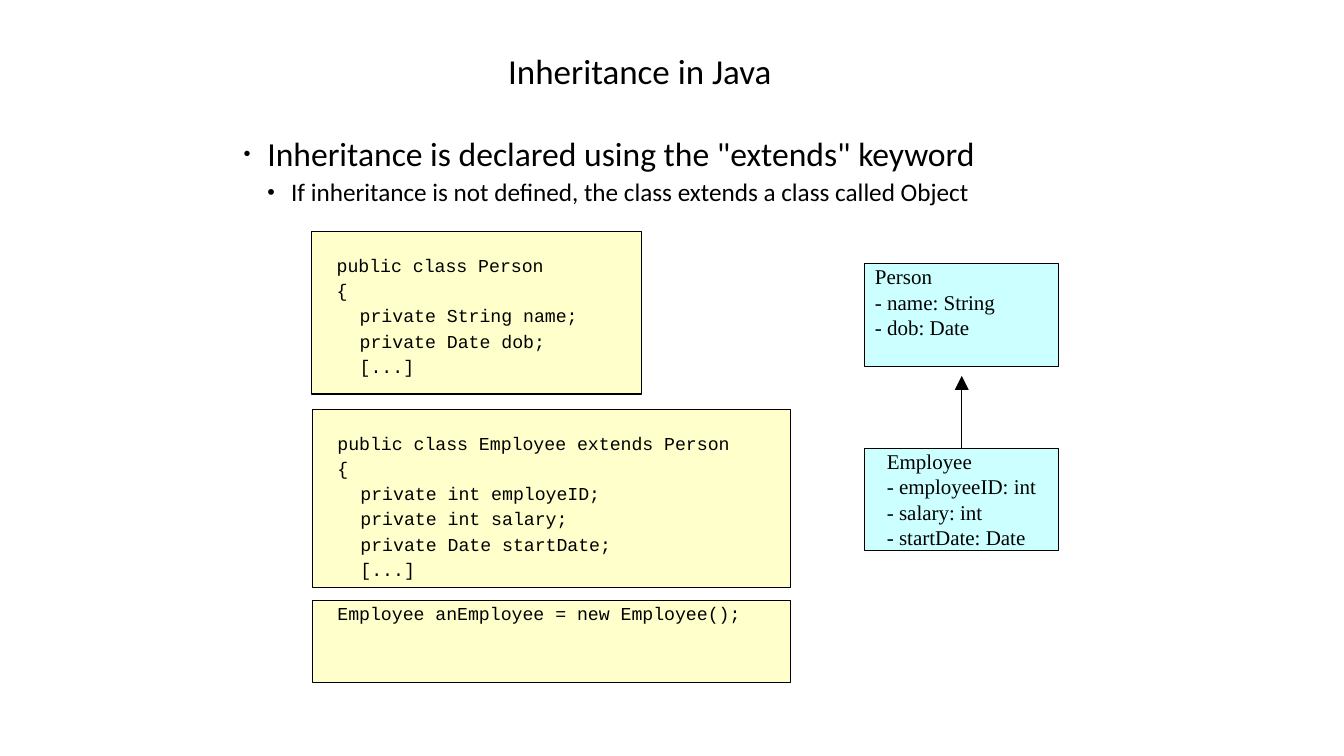
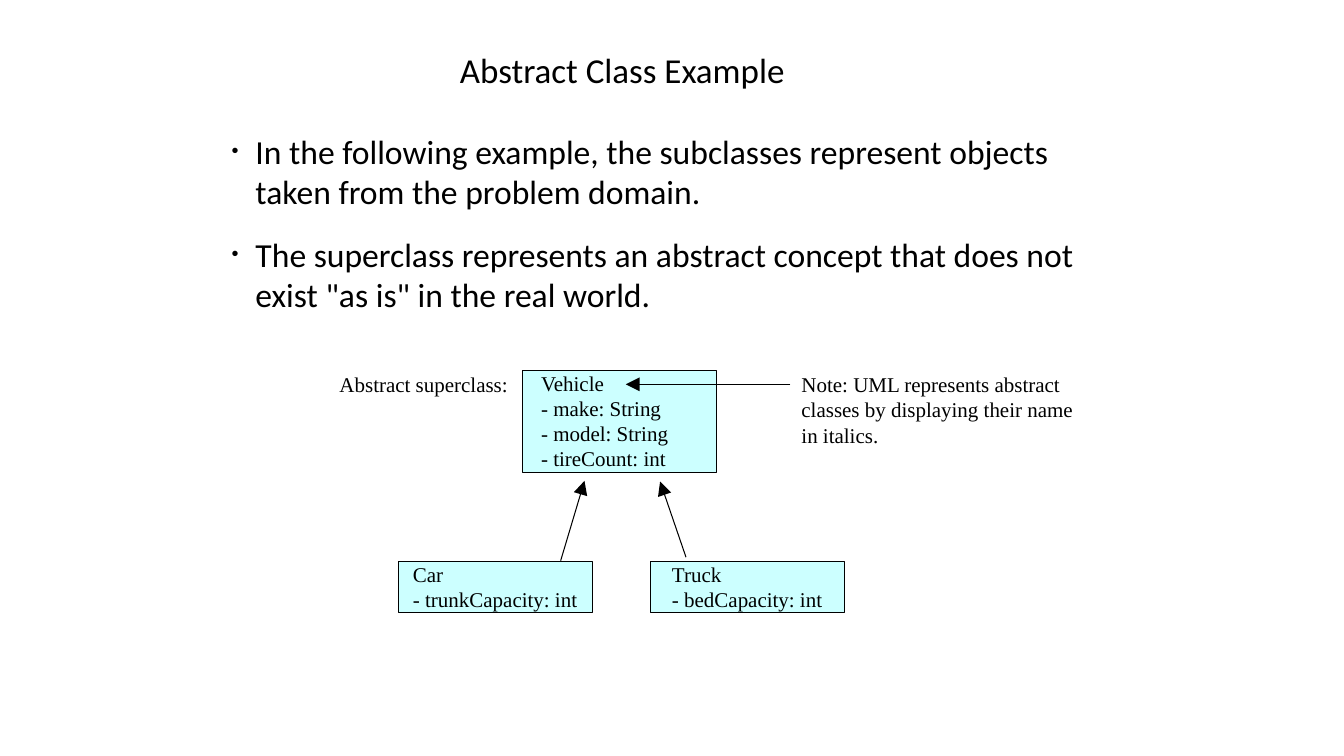
"""Build two slides on inheritance and abstract classes in Java."""
from lxml.etree import SubElement
from pptx import Presentation
from pptx.dml.color import RGBColor
from pptx.enum.shapes import MSO_CONNECTOR, MSO_SHAPE
from pptx.enum.text import MSO_ANCHOR, MSO_AUTO_SIZE, PP_ALIGN
from pptx.oxml.ns import qn
from pptx.util import Pt

COLORS = {"ink": "000000", "class": "CCFFFF", "code": "FFFFCC"}
FONTS = {"text": "Calibri", "code": "Courier New", "diagram": "Times New Roman", "bullet": "Arial"}
SIZES = {"title": 25, "code": 13, "diagram": 15}
BULLET_LEVELS = [
    {"size": 24, "margin": 17, "hanging": 17, "percent": 59},
    {"size": 18, "margin": 34, "hanging": 17, "percent": 85},
]
LINE_HEIGHT = 1.2
LINE_WIDTH = 0.75
CODE_INDENT = 16.5
PARAGRAPH_GAP = 2.5
CLASS_WIDTH = 138.5
CLASS_ROW = 18.25


def color(name):
    """Return a palette colour."""
    return RGBColor.from_string(COLORS[name])


def place(shape, frame):
    """Set left, top, width and height in points."""
    shape.left, shape.top, shape.width, shape.height = map(Pt, frame)


def prepare_frame(text_frame, left=0, top=0):
    """Make a wrapping, top-anchored frame with the given insets."""
    text_frame.word_wrap = True
    text_frame.auto_size = MSO_AUTO_SIZE.NONE
    text_frame.vertical_anchor = MSO_ANCHOR.TOP
    text_frame.margin_left, text_frame.margin_top = Pt(left), Pt(top)
    text_frame.margin_right = text_frame.margin_bottom = 0


def style_paragraph(paragraph, font, size, gap=0):
    """Format a left-aligned paragraph and its runs."""
    paragraph.alignment = PP_ALIGN.LEFT
    paragraph.line_spacing = Pt(size * LINE_HEIGHT)
    paragraph.space_before = Pt(gap)
    for run in paragraph.runs:
        run.font.name = FONTS[font]
        run.font.size = Pt(size)
        run.font.color.rgb = color("ink")


def write_lines(text_frame, lines, font, size, gap=0):
    """Write one styled paragraph for each line."""
    text_frame.text = "\n".join(lines)
    for paragraph in text_frame.paragraphs:
        style_paragraph(paragraph, font, size, gap)


def set_indent(paragraph, margin, hanging=0):
    """Set the left margin and hanging indent and return the properties."""
    properties = paragraph._p.get_or_add_pPr()
    properties.set("marL", str(Pt(margin)))
    properties.set("indent", str(-Pt(hanging)))
    return properties


def add_bullet(paragraph, level):
    """Give a paragraph the bullet and indent of its level."""
    style = BULLET_LEVELS[level]
    paragraph.level = level
    properties = set_indent(paragraph, style["margin"], style["hanging"])
    bullet_color = SubElement(properties, qn("a:buClr"))
    SubElement(bullet_color, qn("a:srgbClr"), val=COLORS["ink"])
    SubElement(properties, qn("a:buSzPct"), val=str(style["percent"] * 1000))
    SubElement(properties, qn("a:buFont"), typeface=FONTS["bullet"])
    SubElement(properties, qn("a:buChar"), char="•")


def add_content_slide(presentation, title, title_frame, items, body_frame, item_gap=PARAGRAPH_GAP):
    """Add a slide with a title and a list of (level, text) items."""
    slide = presentation.slides.add_slide(presentation.slide_layouts[1])
    heading, body = slide.placeholders
    place(heading, title_frame)
    prepare_frame(heading.text_frame)
    write_lines(heading.text_frame, [title], "text", SIZES["title"])
    place(body, body_frame)
    prepare_frame(body.text_frame)
    body.text_frame.text = "\n".join(text for _, text in items)
    for index, (level, _) in enumerate(items):
        paragraph = body.text_frame.paragraphs[index]
        gap = item_gap if index else 0
        style_paragraph(paragraph, "text", BULLET_LEVELS[level]["size"], gap)
        add_bullet(paragraph, level)
    return slide


def add_box(slide, frame, fill):
    """Add a filled rectangle with a thin outline."""
    box = slide.shapes.add_shape(MSO_SHAPE.RECTANGLE, *map(Pt, frame))
    box.shadow.inherit = False
    box.fill.solid()
    box.fill.fore_color.rgb = color(fill)
    box.line.color.rgb = color("ink")
    box.line.width = Pt(LINE_WIDTH)
    return box


def add_class_box(slide, left, top, rows, inset, lines):
    """Add a class box that is the given number of text rows high."""
    box = add_box(slide, (left, top, CLASS_WIDTH, rows * CLASS_ROW), "class")
    prepare_frame(box.text_frame, inset)
    write_lines(box.text_frame, lines, "diagram", SIZES["diagram"])


def add_code_box(slide, frame, top_inset, statements, members=()):
    """Add a code box whose members are indented below the statements."""
    box = add_box(slide, frame, "code")
    prepare_frame(box.text_frame, 18, top_inset)
    write_lines(box.text_frame, [*statements, *members], "code", SIZES["code"], PARAGRAPH_GAP)
    for paragraph in box.text_frame.paragraphs[len(statements):]:
        set_indent(paragraph, CODE_INDENT)


def add_label(slide, frame, lines):
    """Add plain diagram text."""
    label = slide.shapes.add_textbox(*map(Pt, frame))
    prepare_frame(label.text_frame)
    write_lines(label.text_frame, lines, "diagram", SIZES["diagram"])


def add_arrow(slide, start, end):
    """Add a straight line with an arrowhead at its end."""
    arrow = slide.shapes.add_connector(MSO_CONNECTOR.STRAIGHT, *map(Pt, (*start, *end)))
    arrow.line.color.rgb = color("ink")
    arrow.line.width = Pt(LINE_WIDTH)
    SubElement(arrow.line._get_or_add_ln(), qn("a:tailEnd"), type="triangle", w="lg", len="lg")
    SubElement(arrow._element.spPr, qn("a:effectLst"))


def build_inheritance_slide(presentation):
    """Build the slide on the extends keyword."""
    slide = add_content_slide(
        presentation, "Inheritance in Java", (363, 35, 300, 30),
        [(0, 'Inheritance is declared using the "extends" keyword'),
         (1, "If inheritance is not defined, the class extends a class called Object")],
        (174, 95, 612, 60))
    add_class_box(slide, 617.5, 188.5, 4, 7.5, ["Person", "- name: String", "- dob: Date"])
    add_class_box(slide, 617.5, 320.5, 4, 16,
                  ["Employee", "- employeeID: int", "- salary: int", "- startDate: Date"])
    add_arrow(slide, (687, 320.5), (687, 268.5))
    add_code_box(slide, (222.5, 165.5, 235.5, 116), 16, ["public class Person", "{"],
                 ["private String name;", "private Date dob;", "[...]"])
    add_code_box(slide, (223, 292.5, 341.5, 127.5), 16, ["public class Employee extends Person", "{"],
                 ["private int employeID;", "private int salary;", "private Date startDate;", "[...]"])
    add_code_box(slide, (223, 429, 341.5, 58.5), 1.5, ["Employee anEmployee = new Employee();"])


def build_abstract_class_slide(presentation):
    """Build the slide on the abstract vehicle class."""
    slide = add_content_slide(
        presentation, "Abstract Class Example", (328.5, 34.5, 345, 30),
        [(0, "In the following example, the subclasses represent objects taken from the problem domain."),
         (0, 'The superclass represents an abstract concept that does not exist "as is" in the real world.')],
        (165.5, 93.5, 612, 132.5), item_gap=16)
    add_class_box(slide, 373, 264.5, 4, 13.5,
                  ["Vehicle", "- make: String", "- model: String", "- tireCount: int"])
    add_class_box(slide, 284.5, 401, 2, 10.5, ["Car", "- trunkCapacity: int"])
    add_class_box(slide, 464.5, 401, 2, 15.5, ["Truck", "- bedCapacity: int"])
    add_label(slide, (242.5, 265, 125, 18), ["Abstract superclass:"])
    add_label(slide, (572.5, 265.5, 200, 55),
              ["Note: UML represents abstract", "classes by displaying their name", "in italics."])
    add_arrow(slide, (400.5, 400.5), (417.5, 343.5))
    add_arrow(slide, (490, 398), (471.5, 344))
    add_arrow(slide, (564.5, 274.5), (447, 274.5))


def main():
    """Build and save the presentation."""
    presentation = Presentation()
    presentation.slide_width, presentation.slide_height = Pt(960), Pt(540)
    build_inheritance_slide(presentation)
    build_abstract_class_slide(presentation)
    presentation.save("out.pptx")


if __name__ == "__main__":
    main()
